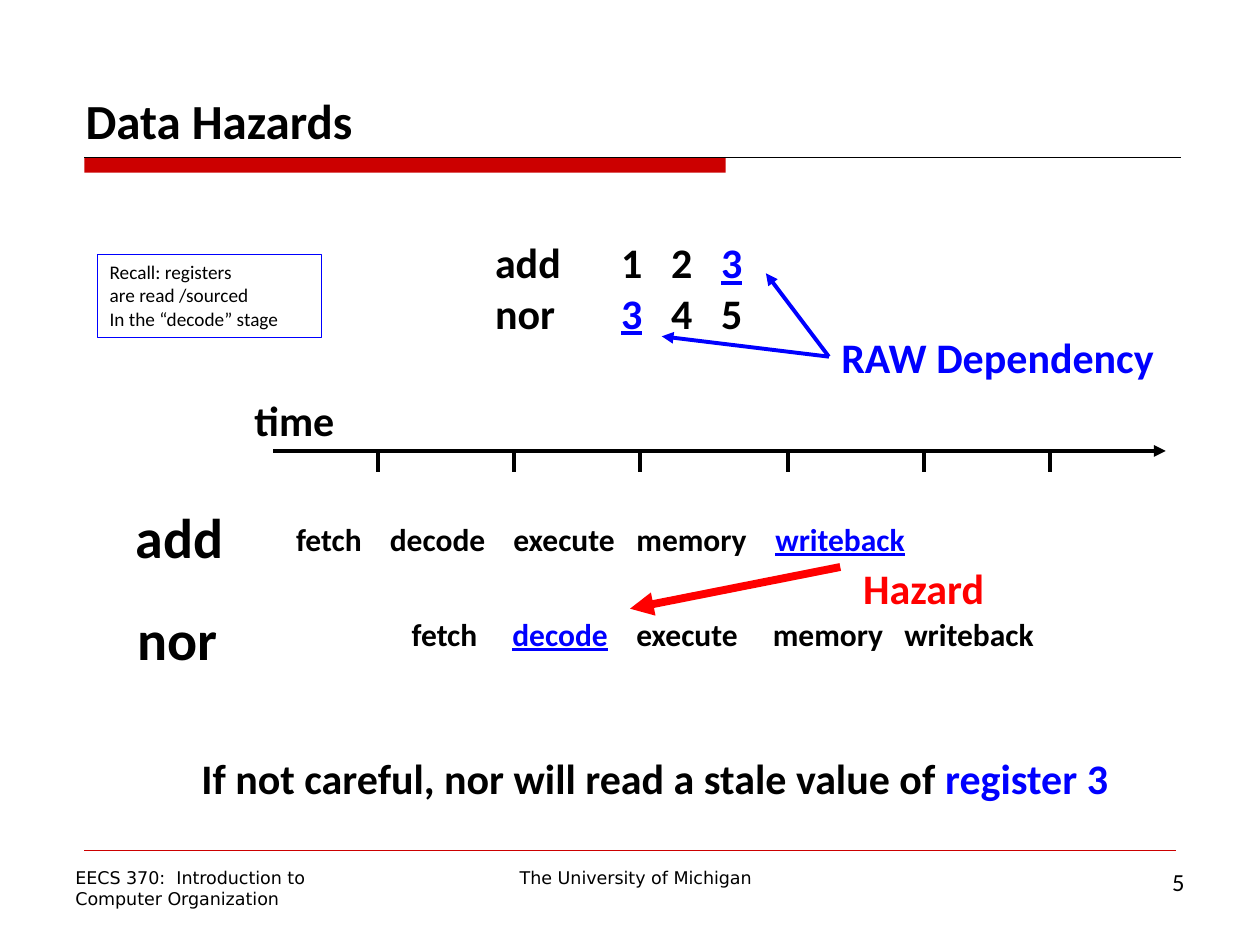
from dataclasses import dataclass

from lxml import etree
from pptx import Presentation
from pptx.dml.color import RGBColor
from pptx.enum import shapes, text
from pptx.oxml import ns
from pptx.util import Cm, Pt


@dataclass(frozen=True)
class Theme:
    """Colours, fonts and type sizes of the slide."""
    ink: str = "000000"
    blue: str = "0000FF"
    red: str = "FF0000"
    bar: str = "CC0000"
    body: str = "Calibri"
    foot: str = "DejaVu Sans"
    title: int = 28
    label: int = 32
    main: int = 24
    stage: int = 18
    page: int = 14
    note: int = 11
    small: int = 10


T = Theme()
LEFT, CENTER, RIGHT = text.PP_ALIGN.LEFT, text.PP_ALIGN.CENTER, text.PP_ALIGN.RIGHT


def add_run(p, words, size, color=T.ink, bold=True, underline=False, font=T.body):
    """Append one formatted run to a paragraph."""
    r = p.add_run()
    r.text = words
    r.font.name, r.font.size = font, Pt(size)
    r.font.bold, r.font.underline = bold, underline
    r.font.color.rgb = RGBColor.from_string(color)


def add_tabs(p, stops):
    """Give a paragraph left tab stops, in centimetres."""
    tabs = etree.SubElement(p._p.get_or_add_pPr(), ns.qn("a:tabLst"))
    for stop in stops:
        etree.SubElement(tabs, ns.qn("a:tab"), pos=str(Cm(stop)), algn="l")


def add_text(s, box, lines, size, wrap=False, align=LEFT, tabs=(), **style):
    """Place a text box whose lines are lists of (words, run style)."""
    tf = s.shapes.add_textbox(*map(Cm, box)).text_frame
    tf.word_wrap = wrap
    for i, line in enumerate(lines):
        p = tf.add_paragraph() if i else tf.paragraphs[0]
        p.alignment = align
        if tabs:
            add_tabs(p, tabs)
        for words, extra in line:
            add_run(p, words, size, **{**style, **extra})


def add_line(s, start, end, color, width, arrow=False):
    """Draw a straight line, with an arrowhead at its end if asked."""
    c = s.shapes.add_connector(shapes.MSO_CONNECTOR.STRAIGHT, *map(Cm, start + end))
    c.line.color.rgb = RGBColor.from_string(color)
    c.line.width = Pt(width)
    if arrow:
        etree.SubElement(c.line._get_or_add_ln(), ns.qn("a:tailEnd"), type="triangle")
    etree.SubElement(c._element.spPr, ns.qn("a:effectLst"))


def add_rect(s, box, fill=None, line=None):
    """Draw a plain rectangle."""
    sp = s.shapes.add_shape(shapes.MSO_SHAPE.RECTANGLE, *map(Cm, box))
    sp.shadow.inherit = False
    if fill:
        sp.fill.solid()
        sp.fill.fore_color.rgb = RGBColor.from_string(fill)
    else:
        sp.fill.background()
    if line:
        sp.line.color.rgb = RGBColor.from_string(line)
        sp.line.width = Pt(0.75)
    else:
        sp.line.fill.background()
    return sp


def build_header(s, box):
    """Set the title above its bar and rule."""
    x, y, w, h = box
    add_rect(s, (x, y + h, 12.93, 0.31), fill=T.bar)
    add_line(s, (x, y + h), (x + w, y + h), T.ink, 0.75)
    sp = s.shapes.title
    sp.left, sp.top, sp.width, sp.height = map(Cm, (x - 0.23, y, w - 0.74, h - 0.03))
    tf = sp.text_frame
    tf.auto_size = text.MSO_AUTO_SIZE.NONE
    tf.word_wrap = True
    tf.vertical_anchor = text.MSO_ANCHOR.BOTTOM
    p = tf.paragraphs[0]
    p.alignment = LEFT
    add_run(p, "Data Hazards", T.title)


def build_note(s, box):
    """Place the framed reminder."""
    tf = add_rect(s, box, line=T.blue).text_frame
    tf.word_wrap = True
    tf.vertical_anchor = text.MSO_ANCHOR.TOP
    p = tf.paragraphs[0]
    p.alignment = LEFT
    add_run(p, "Recall: registers", T.note, bold=False)
    p.add_line_break()
    add_run(p, "are read /sourced", T.note, bold=False)
    p = tf.add_paragraph()
    p.alignment = LEFT
    add_run(p, "In the “decode” stage", T.note, bold=False)


def build_code(s, box):
    """Place the two instructions and point at their shared register."""
    x, y, w, h = box
    shared = {"color": T.blue, "underline": True}
    lines = [[("add\t1\t2\t", {}), ("3", shared)],
             [("nor\t", {}), ("3", shared), ("\t4\t5", {})]]
    add_text(s, (x, y, 6.2, h), lines, T.main, wrap=True, tabs=(2.54, 3.55, 4.56))
    add_text(s, (x + 6.98, y + 1.9, w - 6.98, 1.27),
             [[("RAW Dependency", {})]], T.main, color=T.blue)
    for dx, dy in ((5.71, 0.86), (3.61, 2.13)):
        add_line(s, (x + 6.98, y + 2.54), (x + dx, y + dy), T.blue, 2.25, arrow=True)


def build_timeline(s, box):
    """Draw the time axis with a tick at each cycle."""
    x, y, w, h = box
    axis = y + 1.27
    add_text(s, (x, y, 2.16, 1.27), [[("time", {})]], T.main)
    add_line(s, (x + 0.63, axis), (x + w, axis), T.ink, 2.25, arrow=True)
    for dx in (2.74, 5.48, 8.02, 11.0, 13.74, 16.28):
        add_line(s, (x + dx, axis), (x + dx, y + h), T.ink, 2.25)


def build_pipeline(s, box):
    """Place the stages of both instructions and the hazard between them."""
    x, y, w, h = box
    stages = ("fetch", "decode", "execute", "memory", "writeback")
    rows = (("add", 0, 0, 3.23, 0.35, "writeback", (1.89, 4.38, 6.86, 9.66)),
            ("nor", 0.03, 2.06, 5.56, 2.26, "decode", (2.03, 4.53, 7.28, 9.93)))
    for name, dx, dy, left, top, marked, tabs in rows:
        add_text(s, (x + dx, y + dy, 3, 1.6), [[(name, {})]], T.label, wrap=True)
        line = []
        for stage in stages:
            if line:
                line.append(("\t", {}))
            mark = {"color": T.blue, "underline": True} if stage == marked else {}
            line.append((stage, mark))
        add_text(s, (x + left, y + top, w - 5.56, 1.02), [line], T.stage,
                 wrap=True, tabs=tabs)
    add_line(s, (x + 14.45, y + 1.42), (x + 10.21, y + 2.26), T.red, 4.5, arrow=True)
    add_text(s, (x + 14.66, y + 1.2, 2.97, 1.27), [[("Hazard", {})]], T.main, color=T.red)


def build_conclusion(s, box):
    """State the consequence of the hazard."""
    add_text(s, box, [[("If not careful, nor will read a stale value of ", {}),
                       ("register 3", {"color": T.blue})]], T.main)


def build_footer(s, box):
    """Place the footer rule, course, school and page number."""
    x, y, w, h = box
    add_line(s, (x, y), (x + w, y), T.bar, 0.25)
    small = {"wrap": True, "bold": False, "font": T.foot}
    add_text(s, (x + 6.35, y + 0.2, 9.53, 0.69),
             [[("The University of Michigan", {})]], T.small, align=CENTER, **small)
    add_text(s, (x - 0.43, y + 0.2, 6.99, 1.09),
             [[("EECS 370:  Introduction to", {})], [("Computer Organization", {})]],
             T.small, **small)
    add_text(s, (x + w - 5.49, y + 0.2, 5.92, h - 0.2), [[("5", {})]], T.page,
             wrap=True, align=RIGHT, bold=False)


def main():
    """Build and save the slide."""
    prs = Presentation()
    prs.slide_width, prs.slide_height = Cm(25.4), Cm(19.05)
    s = prs.slides.add_slide(prs.slide_layouts[5])
    build_header(s, (1.7, 0, 22.1, 3.17))
    build_note(s, (1.96, 5.13, 4.52, 1.68))
    build_code(s, (9.73, 4.65, 13.86, 2.31))
    build_timeline(s, (4.88, 7.82, 18.62, 1.7))
    build_pipeline(s, (2.49, 10.01, 18.97, 3.7))
    build_conclusion(s, (3.81, 15.04, 18.97, 1.27))
    build_footer(s, (1.7, 17.15, 22, 1.52))
    prs.save("out.pptx")


if __name__ == "__main__":
    main()
